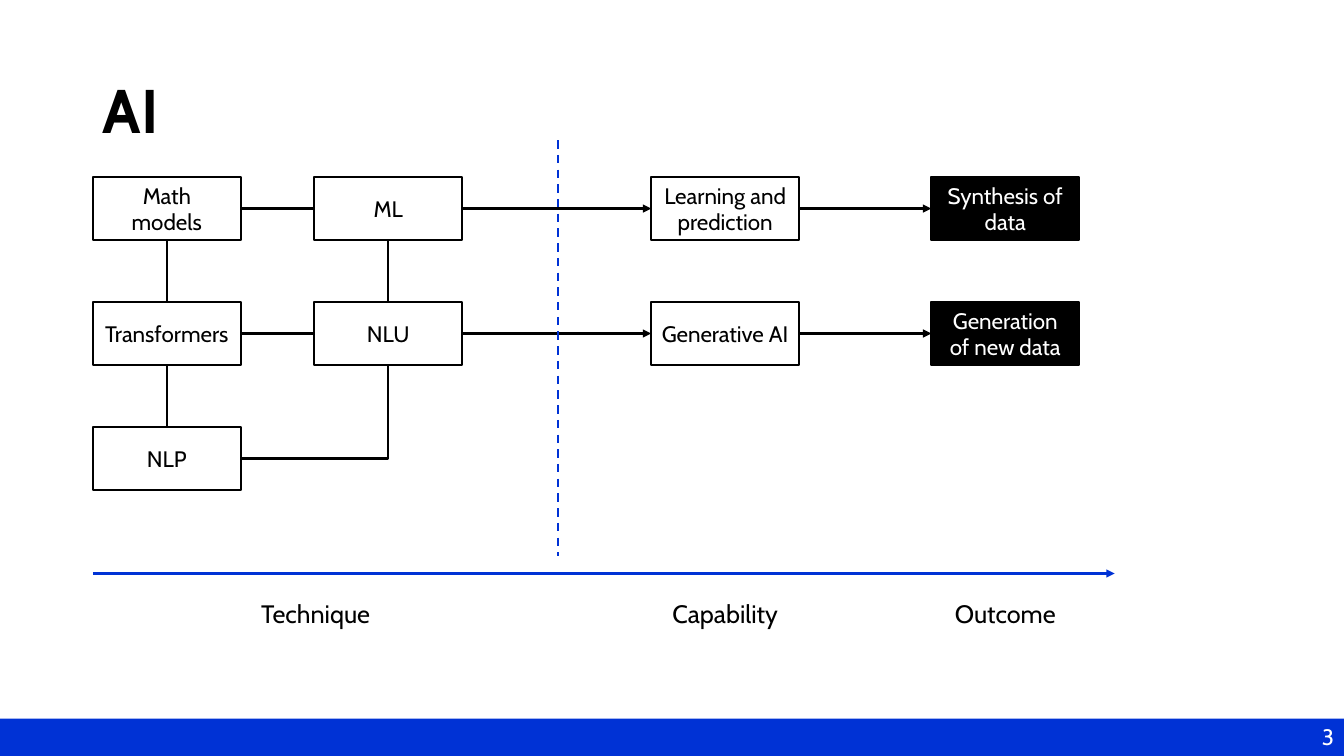
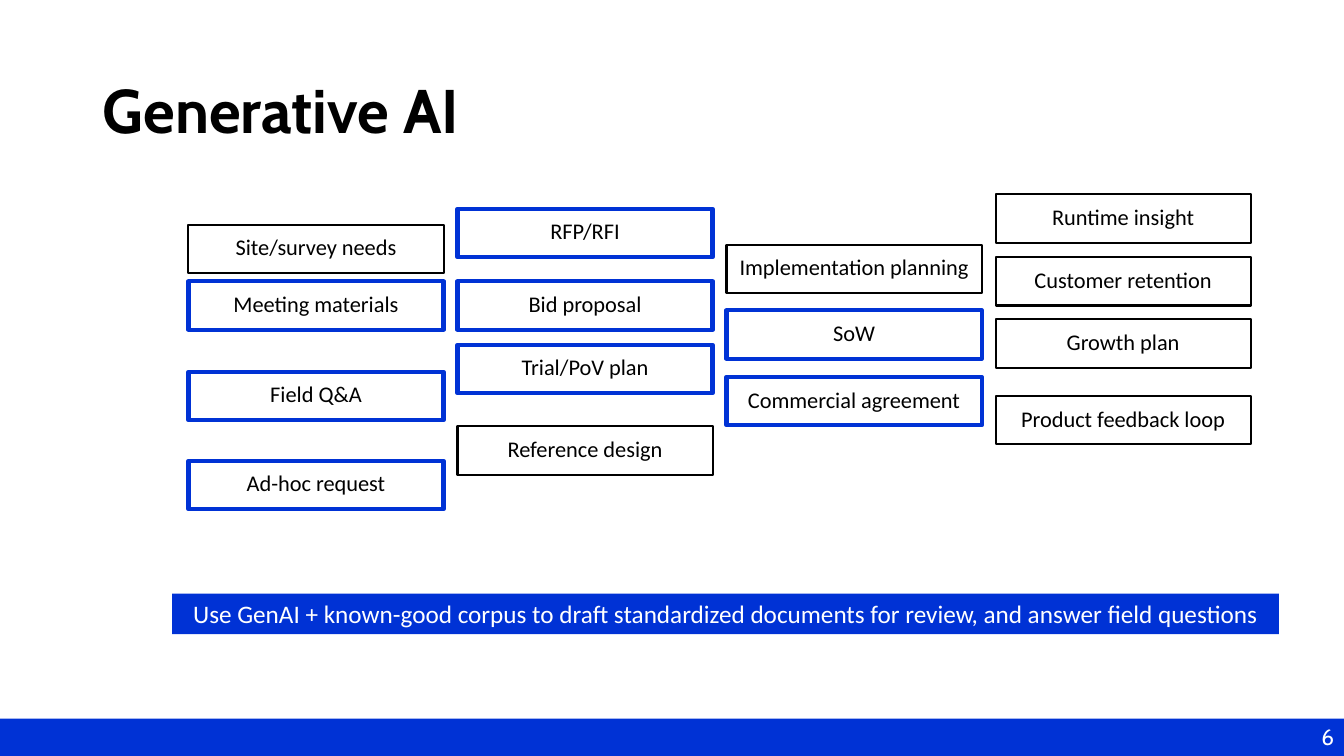
import dataclasses
import typing

import lxml.etree
import pptx
import pptx.dml.color
import pptx.enum.dml
import pptx.enum.shapes
import pptx.enum.text
import pptx.oxml.ns
import pptx.util

Cm = pptx.util.Cm
Align = pptx.enum.text.PP_ALIGN
Anchor = pptx.enum.text.MSO_ANCHOR
Kind = pptx.enum.shapes.MSO_CONNECTOR
qn = pptx.oxml.ns.qn

# Shared look
BLUE, BLACK, WHITE = "0032D5", "000000", "FFFFFF"
HEADING_FONT, BODY_FONT = "Cabin", "Calibri"
PAGE_WIDTH, PAGE_HEIGHT = 33.87, 19.05
MARGIN = 2.34
BAND_HEIGHT = 0.94
THIN, THICK = 1.5, 3
TOP, LEFT, BOTTOM, RIGHT = range(4)


@dataclasses.dataclass(frozen=True)
class Area:
    """A rectangle in centimetres."""
    left: float
    top: float
    width: float
    height: float

    def lengths(self) -> tuple:
        return tuple(Cm(side) for side in dataclasses.astuple(self))


@dataclasses.dataclass(frozen=True)
class TextStyle:
    size: float
    font: str = HEADING_FONT
    color: str = BLACK
    bold: bool = False
    align: Align = Align.CENTER
    anchor: Anchor = Anchor.TOP
    spacing: typing.Optional[float] = None


@dataclasses.dataclass(frozen=True)
class Step:
    """A box of the AI diagram, placed by grid column and row."""
    text: str
    column: int
    row: int
    fill: str = WHITE


@dataclasses.dataclass(frozen=True)
class Link:
    start: str
    start_side: int
    end: str
    end_side: int
    arrow: bool = False
    bent: bool = False


@dataclasses.dataclass(frozen=True)
class Document:
    """A box of the document map; generated ones get a blue frame."""
    text: str
    top: float
    generated: bool = False


TITLE = TextStyle(44, bold=True, align=Align.LEFT, anchor=Anchor.MIDDLE, spacing=0.9)
PAGE_NUMBER = TextStyle(16, color=WHITE, align=Align.RIGHT)
AXIS_LABEL = TextStyle(18)
DOCUMENT = TextStyle(16, BODY_FONT, anchor=Anchor.MIDDLE, spacing=0.85)
BANNER = TextStyle(18, BODY_FONT, WHITE)


def rgb(color: str) -> pptx.dml.color.RGBColor:
    return pptx.dml.color.RGBColor.from_string(color)


def write(shape, text: str, style: TextStyle) -> None:
    frame = shape.text_frame
    frame.word_wrap = True
    frame.vertical_anchor = style.anchor
    frame.text = text
    para = frame.paragraphs[0]
    para.alignment = style.align
    para.line_spacing = style.spacing
    font = para.font
    font.name, font.size, font.bold = style.font, pptx.util.Pt(style.size), style.bold
    font.color.rgb = rgb(style.color)


def add_text(page, text: str, area: Area, style: TextStyle) -> None:
    write(page.shapes.add_textbox(*area.lengths()), text, style)


def add_box(page, text: str, area: Area, style: TextStyle, fill: str = WHITE,
            frame: typing.Optional[str] = None, weight: float = THIN):
    box = page.shapes.add_shape(pptx.enum.shapes.MSO_SHAPE.RECTANGLE, *area.lengths())
    box.shadow.inherit = False
    box.fill.solid()
    box.fill.fore_color.rgb = rgb(fill)
    if frame:
        box.line.color.rgb = rgb(frame)
        box.line.width = pptx.util.Pt(weight)
    else:
        box.line.fill.background()
    write(box, text, style)
    return box


def add_line(page, start: tuple = (0, 0), end: tuple = (0, 0), color: str = BLACK,
             arrow: bool = False, dashed: bool = False, bent: bool = False):
    kind = Kind.ELBOW if bent else Kind.STRAIGHT
    line = page.shapes.add_connector(kind, *(Cm(value) for value in (*start, *end)))
    line.line.color.rgb = rgb(color)
    line.line.width = pptx.util.Pt(THIN)
    if dashed:
        line.line.dash_style = pptx.enum.dml.MSO_LINE.DASH
    properties = line.element.spPr
    if arrow:
        lxml.etree.SubElement(properties.find(qn("a:ln")), qn("a:tailEnd"), type="triangle")
    if bent:  # one corner only
        properties.find(qn("a:prstGeom")).set("prst", "bentConnector2")
    lxml.etree.SubElement(properties, qn("a:effectLst"))
    return line


def add_page(deck, title: str, number: int):
    page = deck.slides.add_slide(deck.slide_layouts[6])
    band = Area(0, PAGE_HEIGHT - BAND_HEIGHT, PAGE_WIDTH, BAND_HEIGHT)
    add_box(page, str(number), band, PAGE_NUMBER, BLUE)
    add_text(page, title, Area(MARGIN, 1.02, 29.21, 3.68), TITLE)
    return page


# AI diagram
STEP_LEFTS = (MARGIN, 7.92, 16.41, 23.47)
STEP_TOP, STEP_PITCH = 4.47, 3.15
STEP_WIDTH, STEP_HEIGHT = 3.73, 1.57
STEPS = (
    Step("Math\vmodels", 0, 0),
    Step("Transformers", 0, 1),
    Step("NLP", 0, 2),
    Step("ML", 1, 0),
    Step("NLU", 1, 1),
    Step("Learning and prediction", 2, 0),
    Step("Generative AI", 2, 1),
    Step("Synthesis of data", 3, 0, BLACK),
    Step("Generation of new data", 3, 1, BLACK),
)
LINKS = (
    Link("Math\vmodels", RIGHT, "ML", LEFT),
    Link("ML", RIGHT, "Learning and prediction", LEFT, arrow=True),
    Link("Learning and prediction", RIGHT, "Synthesis of data", LEFT, arrow=True),
    Link("Transformers", RIGHT, "NLU", LEFT),
    Link("NLU", RIGHT, "Generative AI", LEFT, arrow=True),
    Link("Generative AI", RIGHT, "Generation of new data", LEFT, arrow=True),
    Link("Math\vmodels", BOTTOM, "Transformers", TOP),
    Link("Transformers", BOTTOM, "NLP", TOP),
    Link("ML", BOTTOM, "NLU", TOP),
    Link("NLP", RIGHT, "NLU", BOTTOM, bent=True),
)
AXIS_Y, AXIS_END = 14.45, 28.09
DIVIDER_X = 14.07
AXIS_LABELS = (("Technique", MARGIN, 11.23), ("Capability", 15.52, 5.51),
               ("Outcome", 22.58, 5.51))


def build_ai_page(deck) -> None:
    page = add_page(deck, "AI", 3)
    boxes = {}
    for step in STEPS:
        area = Area(STEP_LEFTS[step.column], STEP_TOP + step.row * STEP_PITCH,
                    STEP_WIDTH, STEP_HEIGHT)
        color = WHITE if step.fill == BLACK else BLACK
        style = TextStyle(16, color=color, anchor=Anchor.MIDDLE)
        boxes[step.text] = add_box(page, step.text, area, style, step.fill, BLACK)
    for link in LINKS:
        line = add_line(page, arrow=link.arrow, bent=link.bent)
        line.begin_connect(boxes[link.start], link.start_side)
        line.end_connect(boxes[link.end], link.end_side)

    # Axis, divider and stage names
    add_line(page, (MARGIN, AXIS_Y), (AXIS_END, AXIS_Y), BLUE, arrow=True)
    add_line(page, (DIVIDER_X, 3.53), (DIVIDER_X, 14.02), BLUE, dashed=True)
    for text, left, width in AXIS_LABELS:
        add_text(page, text, Area(left, 14.94, width, 1.02), AXIS_LABEL)


# Document map
MAP_LEFT, MAP_PITCH = 4.75, 6.78
DOCUMENT_WIDTH, DOCUMENT_HEIGHT = 6.43, 1.22
DOCUMENT_COLUMNS = (
    (Document("Site/survey needs", 5.66),
     Document("Meeting materials", 7.09, True),
     Document("Field Q&A", 9.37, True),
     Document("Ad-hoc request", 11.61, True)),
    (Document("RFP/RFI", 5.26, True),
     Document("Bid proposal", 7.09, True),
     Document("Trial/PoV plan", 8.69, True),
     Document("Reference design", 10.74)),
    (Document("Implementation planning", 6.17),
     Document("SoW", 7.82, True),
     Document("Commercial agreement", 9.5, True)),
    (Document("Runtime insight", 4.9),
     Document("Customer retention", 6.48),
     Document("Growth plan", 8.05),
     Document("Product feedback loop", 9.98)),
)


def build_documents_page(deck) -> None:
    page = add_page(deck, "Generative AI", 6)
    for index, documents in enumerate(DOCUMENT_COLUMNS):
        for document in documents:
            area = Area(MAP_LEFT + index * MAP_PITCH, document.top,
                        DOCUMENT_WIDTH, DOCUMENT_HEIGHT)
            frame, weight = (BLUE, THICK) if document.generated else (BLACK, THIN)
            add_box(page, document.text, area, DOCUMENT, WHITE, frame, weight)
    add_box(page, "Use GenAI + known-good corpus to draft standardized documents "
            "for review, and answer field questions",
            Area(4.34, 14.96, 27.89, 1.02), BANNER, BLUE)


def main() -> None:
    deck = pptx.Presentation()
    deck.slide_width, deck.slide_height = Cm(PAGE_WIDTH), Cm(PAGE_HEIGHT)
    build_ai_page(deck)
    build_documents_page(deck)
    deck.save("out.pptx")


if __name__ == "__main__":
    main()
